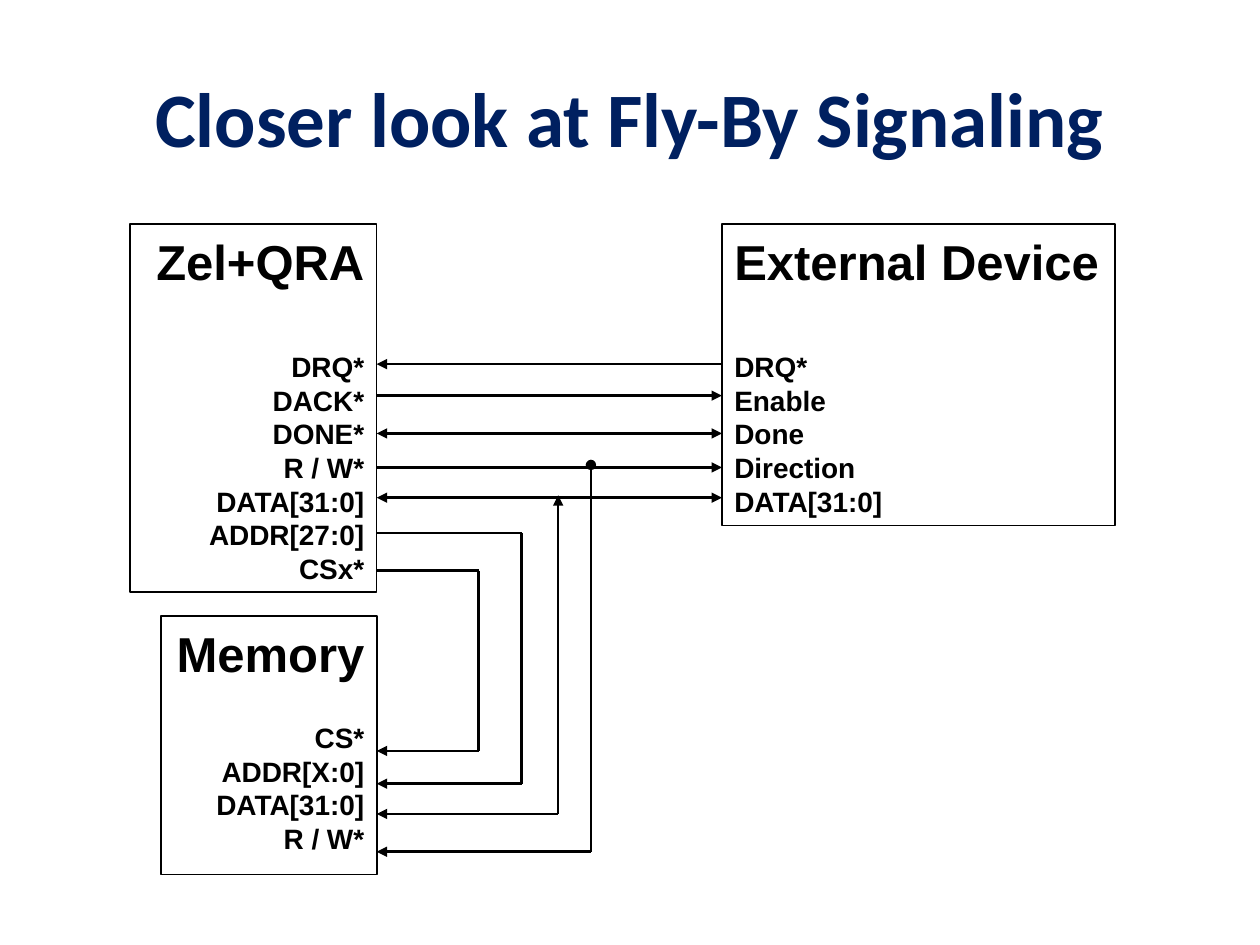
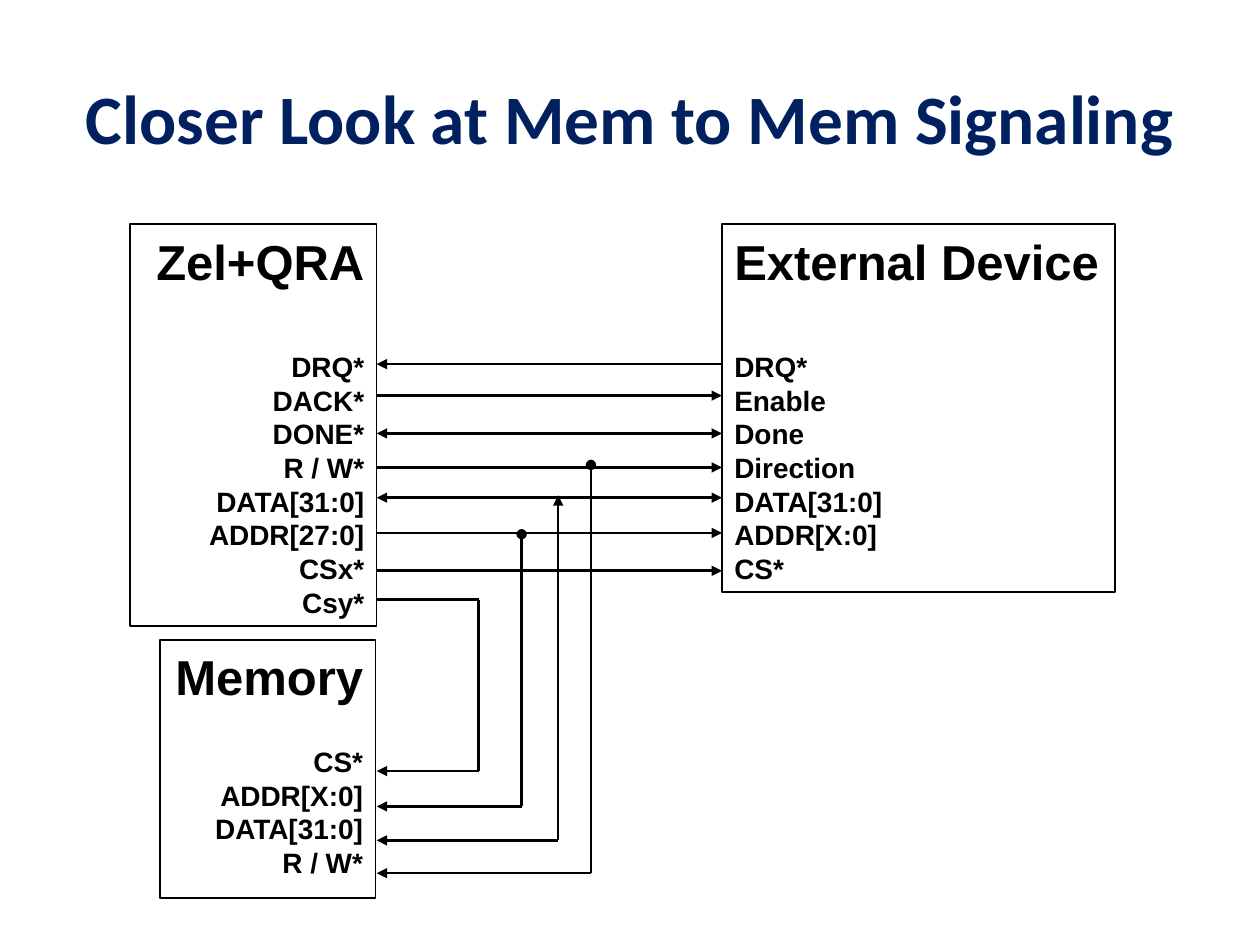
from pptx import Presentation
from pptx.dml.color import RGBColor
from pptx.enum.shapes import MSO_CONNECTOR, MSO_SHAPE
from pptx.enum.text import MSO_ANCHOR, PP_ALIGN
from pptx.util import Inches, Pt
from lxml.etree import SubElement
from pptx.oxml.ns import qn

NAVY = RGBColor(0x00, 0x20, 0x60)
BLACK = RGBColor(0, 0, 0)
LEFT, RIGHT = 2.99, 5.73
TOP = 1.78
BUSES = [3.8, 4.14, 4.43, 4.69]

CHIP = ["DRQ*", "DACK*", "DONE*", "R / W*", "DATA[31:0]", "ADDR[27:0]", "CSx*"]
DEVICE = ["DRQ*", "Enable", "Done", "Direction", "DATA[31:0]"]
MEMORY = ["CS*", "ADDR[X:0]", "DATA[31:0]", "R / W*"]

LINKS = [
    (2.89, "triangle", None),
    (3.14, None, "triangle"),
    (3.44, "triangle", "triangle"),
    (3.71, None, "triangle"),
    (3.95, "triangle", "triangle"),
]

PAGES = [
    {
        "title": "Closer look at Fly-By Signaling",
        "size": 44,
        "chip": (CHIP, 2.92),
        "device": (DEVICE, 2.39),
        "memory": (1.28, 4.89),
        "links": LINKS,
        "stubs": [(4.53, BUSES[0]), (4.23, BUSES[1])],
        "tops": [4.53, 4.23, 3.93, 3.69],
        "ends": [5.96, 6.22, 6.46, 6.76],
        "marks": [None, None, "triangle", "oval"],
    },
    {
        "title": "Closer Look at Mem to Mem Signaling",
        "size": 39.6,
        "chip": (CHIP + ["Csy*"], 3.19),
        "device": (DEVICE + ["ADDR[X:0]", "CS*"], 2.92),
        "memory": (1.27, 5.08),
        "links": LINKS + [(4.23, None, "triangle"), (4.53, None, "triangle")],
        "stubs": [(4.76, BUSES[0])],
        "tops": [4.76, 4.24, 3.93, 3.69],
        "ends": [6.12, 6.4, 6.67, 6.93],
        "marks": [None, "oval", "triangle", "oval"],
    },
]


def add_block(slide, name, pins, area, gap, align):
    block = slide.shapes.add_shape(MSO_SHAPE.RECTANGLE, *map(Inches, area))
    block.shadow.inherit = False
    block.fill.background()
    block.line.color.rgb = BLACK
    block.line.width = Pt(1)
    frame = block.text_frame
    frame.word_wrap = True
    frame.vertical_anchor = MSO_ANCHOR.TOP
    if align == PP_ALIGN.RIGHT:
        frame.margin_left = 0
    else:
        frame.margin_right = 0
    frame.text = "\n".join([name] + pins)
    for row, para in enumerate(frame.paragraphs):
        para.alignment = align
        para.line_spacing = Pt(19.25 if row else 34)
        font = para.runs[0].font
        font.name = "Arial"
        font.size = Pt(16 if row else 28)
        font.bold = True
        font.color.rgb = BLACK
    frame.paragraphs[0].space_after = Pt(gap)


def add_wire(slide, start, end, head=None, tail=None):
    wire = slide.shapes.add_connector(
        MSO_CONNECTOR.STRAIGHT, *map(Inches, start + end))
    wire.line.color.rgb = BLACK
    wire.line.width = Pt(1.5)
    props = wire._element.spPr
    for tag, mark in (("a:headEnd", head), ("a:tailEnd", tail)):
        if mark:
            SubElement(props.find(qn("a:ln")), qn(tag), type=mark)
    SubElement(props, qn("a:effectLst"))


deck = Presentation()
deck.slide_width = Inches(10)
deck.slide_height = Inches(7.5)

for page in PAGES:
    slide = deck.slides.add_slide(deck.slide_layouts[5])
    title = slide.shapes.title
    title.left, title.top = Inches(0.5), Inches(0.3)
    title.width, title.height = Inches(9), Inches(1.25)
    title.text_frame.text = page["title"]
    title.text_frame.vertical_anchor = MSO_ANCHOR.MIDDLE
    para = title.text_frame.paragraphs[0]
    para.alignment = PP_ALIGN.CENTER
    font = para.runs[0].font
    font.name = "Calibri"
    font.size = Pt(page["size"])
    font.bold = True
    font.color.rgb = NAVY

    pins, tall = page["chip"]
    add_block(slide, "Zel+QRA", pins, (1.03, TOP, 1.96, tall), 34, PP_ALIGN.RIGHT)
    add_block(slide, "Memory", MEMORY, page["memory"] + (1.71, 2.05), 22,
              PP_ALIGN.RIGHT)
    pins, tall = page["device"]
    add_block(slide, "External Device", pins, (RIGHT, TOP, 3.12, tall), 34,
              PP_ALIGN.LEFT)

    for y, head, tail in page["links"]:
        add_wire(slide, (LEFT, y), (RIGHT, y), head, tail)
    for y, x in page["stubs"]:
        add_wire(slide, (LEFT, y), (x, y))
    for x, top, end, mark in zip(BUSES, page["tops"], page["ends"], page["marks"]):
        add_wire(slide, (x, top), (x, end), mark)
        add_wire(slide, (x, end), (LEFT, end), None, "triangle")

deck.save("out.pptx")
